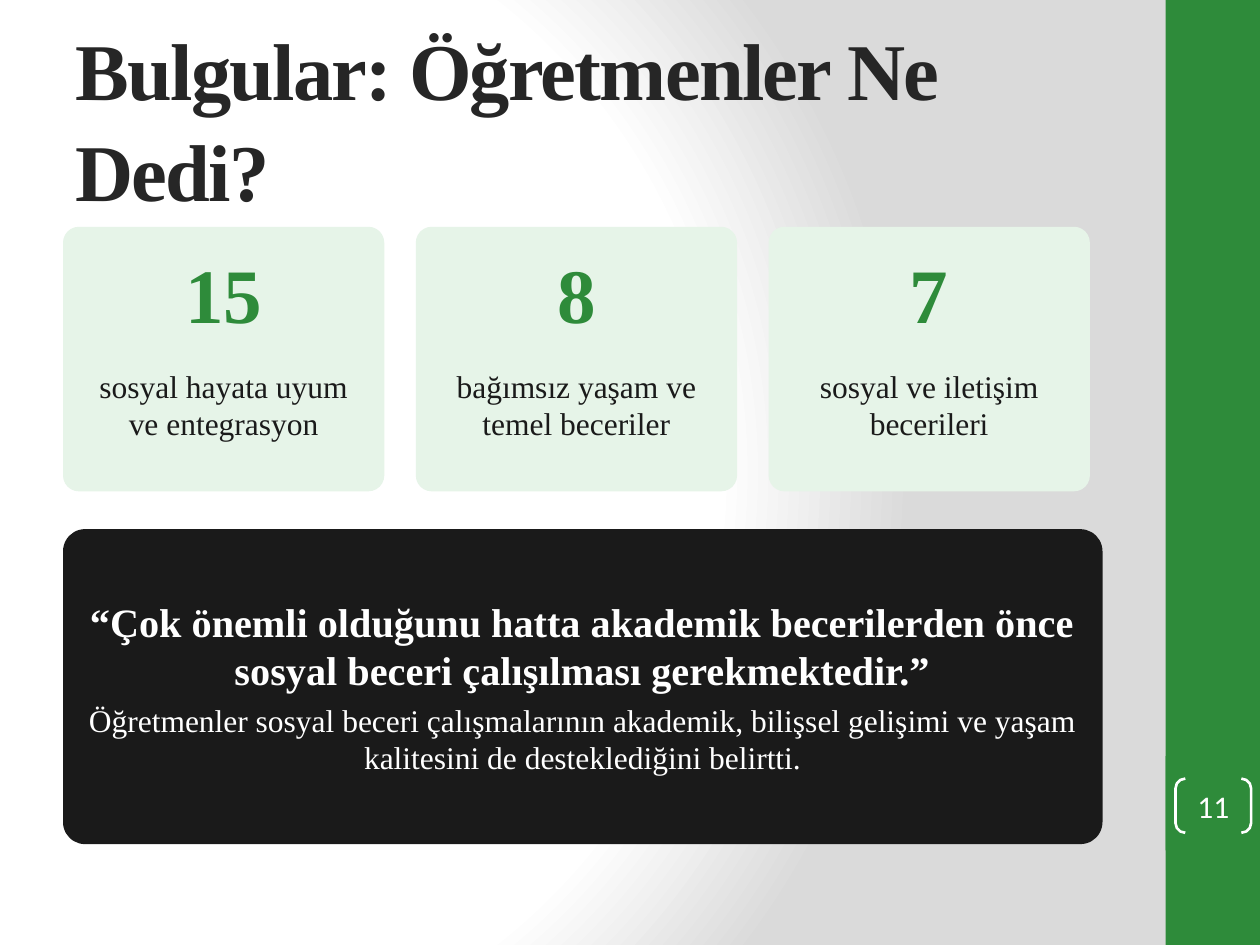
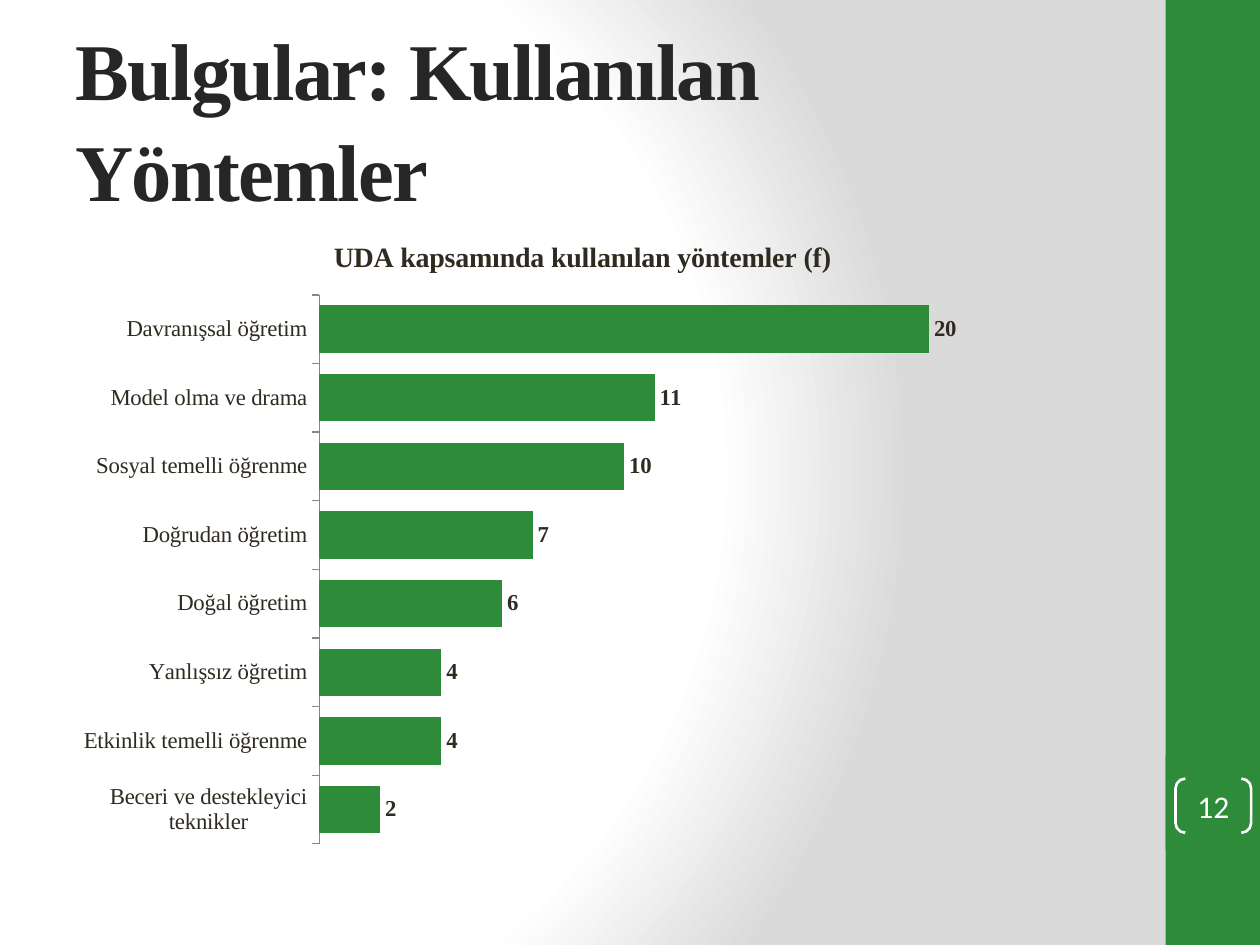
from pptx import Presentation
from pptx.chart.data import CategoryChartData
from pptx.dml.color import RGBColor
from pptx.enum.chart import XL_CHART_TYPE, XL_LABEL_POSITION, XL_TICK_MARK
from pptx.enum.shapes import MSO_SHAPE
from pptx.enum.text import MSO_ANCHOR, MSO_AUTO_SIZE, PP_ALIGN
from pptx.oxml import parse_xml
from pptx.oxml.ns import nsdecls
from pptx.util import Inches, Pt

SERIF, SANS = "Times New Roman", "Calibri"
GREEN, PALE_GREEN = "2E8B3A", "E6F4E8"
INK, TITLE_INK, CHART_INK = "1A1A1A", "262626", "2F2B20"
WHITE, GREY, AXIS_GREY = "FFFFFF", "DADADA", "868686"
GRADIENT_STOPS = [(0, WHITE), (75, WHITE), (100, GREY)]

LEFT = 0.5
CARD_WIDTH, CARD_HEIGHT, CARD_GAP, CARD_TOP = 2.55, 2.1, 0.25, 1.8
CARDS = [
    ("15", "sosyal hayata uyum ve entegrasyon"),
    ("8", "bağımsız yaşam ve temel beceriler"),
    ("7", "sosyal ve iletişim becerileri"),
]
QUOTE = ("“Çok önemli olduğunu hatta akademik becerilerden önce "
         "sosyal beceri çalışılması gerekmektedir.”")
QUOTE_NOTE = ("Öğretmenler sosyal beceri çalışmalarının akademik, bilişsel gelişimi "
              "ve yaşam kalitesini de desteklediğini belirtti.")
METHODS = {
    "Davranışsal öğretim": 20,
    "Model olma ve drama": 11,
    "Sosyal temelli öğrenme": 10,
    "Doğrudan öğretim": 7,
    "Doğal öğretim": 6,
    "Yanlışsız öğretim": 4,
    "Etkinlik temelli öğrenme": 4,
    "Beceri ve destekleyici teknikler": 2,
}


def rgb(value):
    return RGBColor.from_string(value)


def box(left, top, width, height):
    return [Inches(value) for value in (left, top, width, height)]


def set_font(font, size, color, bold=False, name=SERIF):
    font.name, font.size, font.bold = name, Pt(size), bold
    font.color.rgb = rgb(color)


def set_background(master):
    """Give the master a radial gradient from white to grey."""
    stops = "".join(
        f'<a:gs pos="{position * 1000}"><a:srgbClr val="{color}"/></a:gs>'
        for position, color in GRADIENT_STOPS)
    gradient = parse_xml(
        f'<a:gradFill {nsdecls("a")} rotWithShape="1"><a:gsLst>{stops}</a:gsLst>'
        '<a:path path="circle">'
        '<a:fillToRect l="20000" t="50000" r="100000" b="50000"/>'
        '</a:path></a:gradFill>')
    master.background.fill.solid()
    properties = master.element.cSld.bg.bgPr
    properties.replace(properties[0], gradient)


def add_panel(slide, kind, bounds, fill=None, adjustment=None):
    shape = slide.shapes.add_shape(kind, *box(*bounds))
    shape.shadow.inherit = False
    shape.line.fill.background()
    if fill:
        shape.fill.solid()
        shape.fill.fore_color.rgb = rgb(fill)
    else:
        shape.fill.background()
    if adjustment is not None:
        shape.adjustments[0] = adjustment
    return shape


def set_margins(frame, side, vertical):
    frame.margin_left = frame.margin_right = Inches(side)
    frame.margin_top = frame.margin_bottom = Inches(vertical)


def add_paragraph(frame, text, size, color, bold=False, name=SERIF, space_after=4):
    """Add a centred paragraph, using the frame's first one while it is empty."""
    first = frame.paragraphs[0]
    paragraph = frame.add_paragraph() if first.runs else first
    paragraph.alignment = PP_ALIGN.CENTER
    paragraph.space_after = Pt(space_after)
    run = paragraph.add_run()
    run.text = text
    set_font(run.font, size, color, bold, name)


def add_label(slide, bounds, text, size, color, bold=False):
    frame = slide.shapes.add_textbox(*box(*bounds)).text_frame
    frame.word_wrap = True
    set_margins(frame, 0.05, 0.06)
    add_paragraph(frame, text, size, color, bold)


def set_title(slide, text):
    title = slide.shapes.title
    title.left, title.top, title.width, title.height = box(LEFT, 0.3, 8.33, 1.25)
    frame = title.text_frame
    frame.auto_size = MSO_AUTO_SIZE.NONE
    frame.vertical_anchor = MSO_ANCHOR.MIDDLE
    paragraph = frame.paragraphs[0]
    paragraph.alignment = PP_ALIGN.LEFT
    paragraph.line_spacing = 1.05
    run = paragraph.add_run()
    run.text = text
    set_font(run.font, 46, TITLE_INK, bold=True)
    run.font._element.set("spc", "-100")


def add_page_number(slide, number):
    bracket = add_panel(slide, MSO_SHAPE.DOUBLE_BRACKET, (9.33, 6.18, 0.6, 0.43),
                        adjustment=0.18)
    bracket.line.color.rgb = rgb(WHITE)
    bracket.line.width = Pt(1.5)
    frame = bracket.text_frame
    frame.vertical_anchor = MSO_ANCHOR.MIDDLE
    set_margins(frame, 0, 0)
    add_paragraph(frame, str(number), 18, WHITE, name=SANS, space_after=0)


def add_titled_slide(presentation, title, number):
    slide = presentation.slides.add_slide(presentation.slide_layouts[5])
    set_title(slide, title)
    for top, height in ((0, 7.5), (6, 0.75)):
        add_panel(slide, MSO_SHAPE.RECTANGLE, (9.25, top, 0.75, height), GREEN)
    add_page_number(slide, number)
    return slide


def add_card(slide, left, count, caption):
    add_panel(slide, MSO_SHAPE.ROUNDED_RECTANGLE,
              (left, CARD_TOP, CARD_WIDTH, CARD_HEIGHT), PALE_GREEN, 0.06)
    add_label(slide, (left, CARD_TOP + 0.1, CARD_WIDTH, 0.9), count, 44, GREEN, bold=True)
    add_label(slide, (left + 0.1, CARD_TOP + 1.05, CARD_WIDTH - 0.2, 1), caption, 18, INK)


def add_quote(slide):
    panel = add_panel(slide, MSO_SHAPE.ROUNDED_RECTANGLE, (LEFT, 4.2, 8.25, 2.5), INK, 0.07)
    frame = panel.text_frame
    frame.word_wrap = True
    frame.vertical_anchor = MSO_ANCHOR.MIDDLE
    set_margins(frame, 0.12, 0.06)
    add_paragraph(frame, QUOTE, 23, WHITE, bold=True)
    add_paragraph(frame, QUOTE_NOTE, 18, WHITE)


def add_methods_chart(slide):
    data = CategoryChartData()
    data.categories = list(METHODS)
    data.add_series("Series 1", list(METHODS.values()))
    chart = slide.shapes.add_chart(
        XL_CHART_TYPE.BAR_CLUSTERED, *box(LEFT, 1.7, 8.25, 5.1), data).chart
    set_font(chart.font, 13, CHART_INK)
    chart.has_legend = False

    chart.has_title = True
    run = chart.chart_title.text_frame.paragraphs[0].add_run()
    run.text = "UDA kapsamında kullanılan yöntemler (f)"
    set_font(run.font, 16, CHART_INK, bold=True)

    category_axis = chart.category_axis
    category_axis.reverse_order = True
    category_axis.major_tick_mark = XL_TICK_MARK.OUTSIDE
    category_axis.format.line.color.rgb = rgb(AXIS_GREY)
    value_axis = chart.value_axis
    value_axis.visible = False
    value_axis.has_major_gridlines = False
    value_axis.minimum_scale, value_axis.maximum_scale = 0, 25

    plot = chart.plots[0]
    plot.gap_width = 45
    plot.vary_by_categories = False
    fill = plot.series[0].format.fill
    fill.solid()
    fill.fore_color.rgb = rgb(GREEN)
    labels = plot.series[0].data_labels
    labels.show_value = True
    labels.position = XL_LABEL_POSITION.OUTSIDE_END
    set_font(labels.font, 13, CHART_INK, bold=True)


def main():
    presentation = Presentation()
    presentation.slide_width, presentation.slide_height = Inches(10), Inches(7.5)
    set_background(presentation.slide_master)

    teachers = add_titled_slide(presentation, "Bulgular: Öğretmenler Ne Dedi?", 11)
    for index, (count, caption) in enumerate(CARDS):
        add_card(teachers, LEFT + index * (CARD_WIDTH + CARD_GAP), count, caption)
    add_quote(teachers)

    methods = add_titled_slide(presentation, "Bulgular: Kullanılan Yöntemler", 12)
    add_methods_chart(methods)

    presentation.save("out.pptx")


if __name__ == "__main__":
    main()
